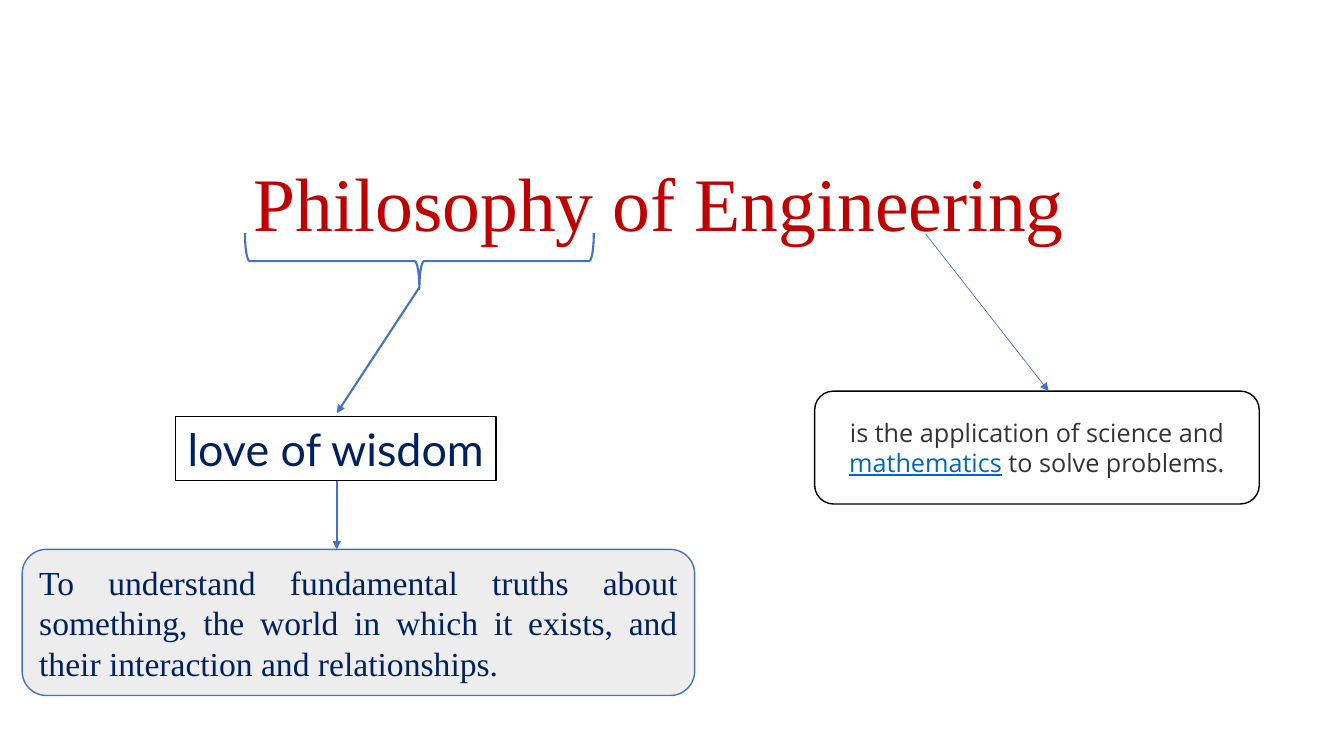
from dataclasses import dataclass

from lxml.etree import SubElement
from pptx import Presentation
from pptx.dml.color import RGBColor
from pptx.enum.shapes import MSO_CONNECTOR, MSO_SHAPE
from pptx.enum.text import MSO_ANCHOR, MSO_AUTO_SIZE, PP_ALIGN
from pptx.oxml.ns import qn
from pptx.util import Inches, Pt

RED, NAVY, GREY, LINK = "C00000", "002060", "333333", "0563C1"
BLUE, BLACK, PALE = "4472C4", "000000", "EDEDED"
SERIF = "Times New Roman"


@dataclass
class Run:
    text: str
    color: str
    underline: bool = False


@dataclass
class Box:
    at: tuple[float, float, float, float]
    preset: MSO_SHAPE
    line: str
    font: str
    size: float
    runs: list[Run]
    fill: str | None = None
    align: PP_ALIGN = PP_ALIGN.CENTER
    spacing: float | None = None
    wrap: bool = True


@dataclass
class Arrow:
    start: tuple[float, float]
    end: tuple[float, float]
    width: float = 1.5


BOXES = [
    Box((1.74, 4.13, 3.18, 0.64), MSO_SHAPE.RECTANGLE, BLACK, "Lato", 32,
        [Run("love of wisdom", NAVY)], wrap=False),
    Box((0.22, 5.45, 6.67, 1.45), MSO_SHAPE.ROUNDED_RECTANGLE, BLUE, SERIF, 24,
        [Run("To understand fundamental truths about something, the world in "
             "which it exists, and their interaction and relationships.", NAVY)],
        fill=PALE, align=PP_ALIGN.JUSTIFY, spacing=28.9),
    Box((8.08, 3.88, 4.41, 1.12), MSO_SHAPE.ROUNDED_RECTANGLE, BLACK, "Open Sans", 18,
        [Run("is the application of science and ", GREY),
         Run("mathematics", LINK, underline=True),
         Run(" to solve problems.", GREY)], spacing=21.4),
]

ARROWS = [
    Arrow((4.16, 2.85), (3.34, 4.1)),
    Arrow((9.18, 2.32), (10.4, 3.88), 0.5),
    Arrow((3.34, 4.77), (3.34, 5.45)),
]


def rgb(color: str) -> RGBColor:
    return RGBColor.from_string(color)


def set_line(line, color: str, width: float) -> None:
    line.color.rgb = rgb(color)
    line.width = Pt(width)


def add_runs(p, runs: list[Run], font: str, size: float) -> None:
    for run in runs:
        r = p.add_run()
        r.text = run.text
        r.font.name = font
        r.font.size = Pt(size)
        r.font.color.rgb = rgb(run.color)
        if run.underline:
            r.font.underline = True


def add_title(s) -> None:
    title = s.shapes.title
    title.left, title.top, title.width, title.height = map(Inches, (2.03, 1.49, 9.01, 1.01))
    title.text_frame.auto_size = MSO_AUTO_SIZE.NONE
    p = title.text_frame.paragraphs[0]
    p.alignment = PP_ALIGN.CENTER
    add_runs(p, [Run("Philosophy of Engineering", RED)], SERIF, 54)


def add_outline(s, preset: MSO_SHAPE, at: tuple, color: str, width: float):
    """Add an unfilled preset shape without a shadow."""
    sp = s.shapes.add_shape(preset, *map(Inches, at))
    sp.shadow.inherit = False
    sp.fill.background()
    set_line(sp.line, color, width)
    return sp


def add_box(s, box: Box) -> None:
    sp = add_outline(s, box.preset, box.at, box.line, 1)
    if box.fill:
        sp.fill.solid()
        sp.fill.fore_color.rgb = rgb(box.fill)
    tf = sp.text_frame
    tf.word_wrap = box.wrap
    tf.vertical_anchor = MSO_ANCHOR.MIDDLE
    p = tf.paragraphs[0]
    p.alignment = box.align
    if box.spacing:
        p.line_spacing = Pt(box.spacing)
    add_runs(p, box.runs, box.font, box.size)


def add_arrow(s, arrow: Arrow) -> None:
    cxn = s.shapes.add_connector(MSO_CONNECTOR.STRAIGHT,
                                 *map(Inches, arrow.start + arrow.end))
    set_line(cxn.line, BLUE, arrow.width)
    SubElement(cxn.line._get_or_add_ln(), qn("a:tailEnd"), type="triangle")
    SubElement(cxn._element.spPr, qn("a:effectLst"))


def main() -> None:
    prs = Presentation()
    prs.slide_width, prs.slide_height = Inches(13.33), Inches(7.5)
    s = prs.slides.add_slide(prs.slide_layouts[5])
    add_title(s)
    brace = add_outline(s, MSO_SHAPE.LEFT_BRACE, (3.88, 0.86, 0.56, 3.46), BLUE, 1.5)
    brace.rotation = 270
    for box in BOXES:
        add_box(s, box)
    for arrow in ARROWS:
        add_arrow(s, arrow)
    prs.save("out.pptx")


if __name__ == "__main__":
    main()
